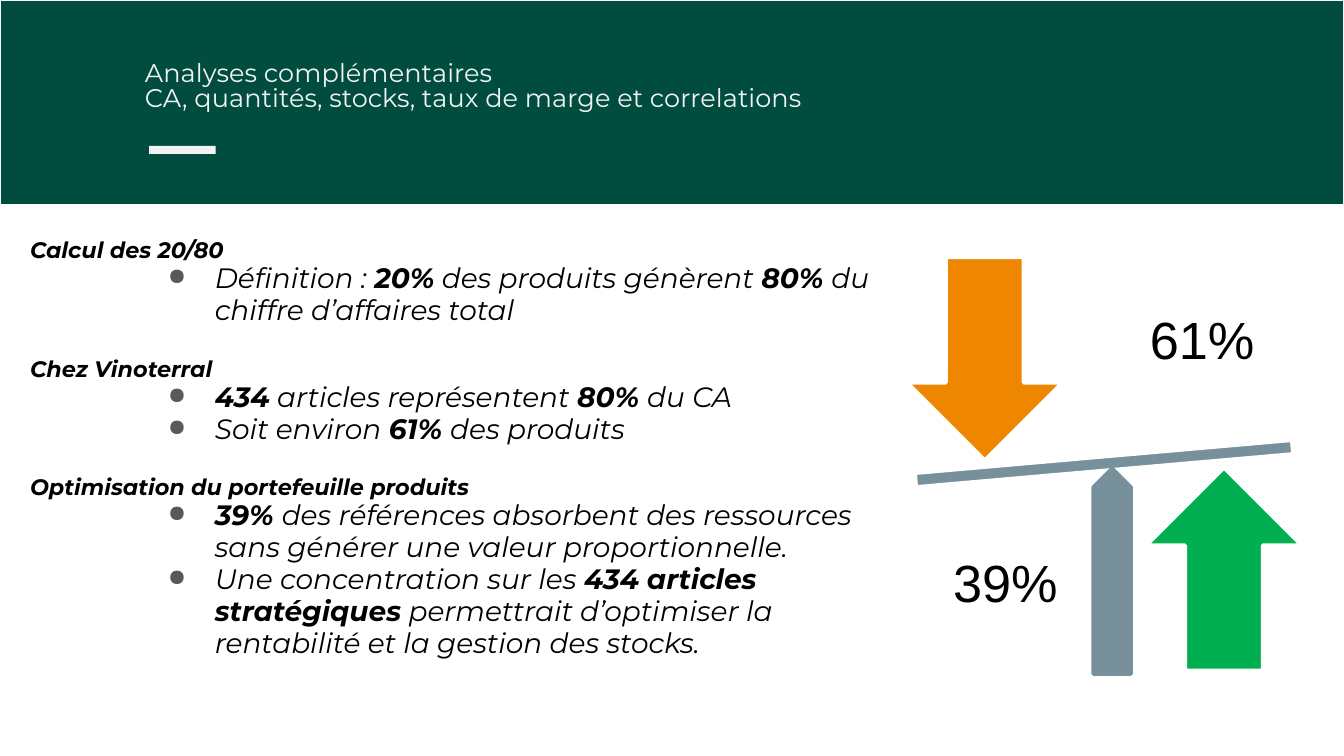
"""Build the 20/80 analysis slide with a seesaw of product shares."""
from lxml import etree
from pptx import Presentation
from pptx.dml.color import RGBColor
from pptx.enum.shapes import MSO_SHAPE
from pptx.enum.text import MSO_ANCHOR, PP_ALIGN
from pptx.oxml.ns import qn
from pptx.util import Inches, Pt

RECTANGLE = MSO_SHAPE.RECTANGLE
MINUS = MSO_SHAPE.MATH_MINUS
DOWN_ARROW = MSO_SHAPE.DOWN_ARROW
UP_ARROW = MSO_SHAPE.UP_ARROW
POST = MSO_SHAPE.PENTAGON
TOP, MIDDLE = MSO_ANCHOR.TOP, MSO_ANCHOR.MIDDLE
LEFT, CENTER = PP_ALIGN.LEFT, PP_ALIGN.CENTER

GREEN_DARK = RGBColor(0x00, 0x4D, 0x40)
OFF_WHITE = RGBColor(0xF3, 0xF3, 0xF3)
WHITE = RGBColor(0xFF, 0xFF, 0xFF)
BLACK = RGBColor(0x00, 0x00, 0x00)
ORANGE = RGBColor(0xEF, 0x86, 0x00)
GREEN = RGBColor(0x00, 0xB0, 0x50)
SLATE = RGBColor(0x78, 0x90, 0x9C)
BULLET_GREY = RGBColor(0x59, 0x59, 0x59)

CELL = Inches(0.1)
COLUMNS, ROWS = 100, 56.25
ARROW_SIZE = (11.55, 15.1)
LABEL_SIZE = (12.3, 13.1)

TITLE = [
    "Analyses complémentaires",
    "CA, quantités, stocks, taux de marge et correlations",
]
SECTIONS = [
    ("Calcul des 20/80", [
        [("Définition : ", False), ("20%", True), (" des produits génèrent ", False),
         ("80% ", True), ("du chiffre d’affaires total", False)],
    ]),
    ("Chez Vinoterral", [
        [("434", True), (" articles représentent ", False), ("80% ", True), ("du CA", False)],
        [("Soit environ ", False), ("61% ", True), ("des produits", False)],
    ]),
    ("Optimisation du portefeuille produits", [
        [("39% ", True), ("des références absorbent des ressources sans générer "
                          "une valeur proportionnelle.", False)],
        [("Une concentration sur les ", False), ("434 articles stratégiques", True),
         (" permettrait d’optimiser la rentabilité et la gestion des stocks.", False)],
    ]),
]


def cells(*counts):
    """Turn counts of grid cells into lengths."""
    return [round(count * CELL) for count in counts]


def add_figure(slide, kind, box, fill, line=None, line_width=2, rotation=0):
    """Add a filled preset shape, outlined if a line colour is given."""
    shape = slide.shapes.add_shape(kind, *cells(*box))
    shape.shadow.inherit = False
    shape.rotation = rotation
    shape.fill.solid()
    shape.fill.fore_color.rgb = fill
    if line is None:
        shape.line.fill.background()
    else:
        shape.line.color.rgb = line
        shape.line.width = Pt(line_width)


def add_text_frame(slide, box, inset=1, anchor=TOP):
    """Add a wrapping text box and return its frame."""
    frame = slide.shapes.add_textbox(*cells(*box)).text_frame
    frame.word_wrap = True
    frame.vertical_anchor = anchor
    frame.margin_left = frame.margin_right = round(inset * CELL)
    frame.margin_top = frame.margin_bottom = round(inset * CELL)
    return frame


def add_paragraph(frame, runs, size, color, spacing, font="Montserrat", italic=False,
                  align=LEFT):
    """Write (text, bold) runs into the first free paragraph."""
    paragraph = frame.paragraphs[0] if not frame.text else frame.add_paragraph()
    paragraph.alignment = align
    paragraph.line_spacing = spacing
    paragraph.font.name = font
    paragraph.font.size = Pt(size)
    paragraph.font.italic = italic
    paragraph.font.color.rgb = color
    for text, bold in runs:
        run = paragraph.add_run()
        run.text = text
        run.font.bold = bold
    return paragraph


def set_indent(paragraph, margin, first_line=0):
    """Set the left margin and first-line indent in grid cells."""
    properties = paragraph._p.get_or_add_pPr()
    margin, first_line = cells(margin, first_line)
    properties.set("marL", str(margin))
    properties.set("indent", str(first_line))
    return properties


def add_bullet(paragraph):
    """Give a paragraph a hanging grey bullet."""
    properties = set_indent(paragraph, 15, -3.5)
    color = etree.Element(qn("a:buClr"))
    etree.SubElement(color, qn("a:srgbClr"), val=str(BULLET_GREY))
    size = etree.Element(qn("a:buSzPct"), val="83000")
    character = etree.Element(qn("a:buChar"), char="●")
    position = properties.index(properties.find(qn("a:defRPr")))
    properties[position:position] = [color, size, character]


def add_header(slide):
    """Draw the title band with its text and accent bar."""
    add_figure(slide, RECTANGLE, (0, 0, COLUMNS, 15.25), GREEN_DARK, WHITE, 0.75)
    frame = add_text_frame(slide, (9.8, 3.7, 93.2, 6.3))
    for text in TITLE:
        add_paragraph(frame, [(text, False)], 13.75, OFF_WHITE, 0.8)
    add_figure(slide, RECTANGLE, (11.1, 10.85, 4.95, 0.6), OFF_WHITE)


def add_sections(slide):
    """Write the headings and their bullet points."""
    frame = add_text_frame(slide, (0, 16.9, 66.8, 37.4))
    for number, (heading, points) in enumerate(SECTIONS):
        paragraph = add_paragraph(frame, [(heading, True)], 12, BLACK, 0.85, italic=True)
        paragraph.space_before = Pt(17 if number else 0)
        set_indent(paragraph, 1.25)
        for runs in points:
            add_bullet(add_paragraph(frame, runs, 15, BLACK, 0.95, italic=True))


def add_share(slide, left, top, text):
    """Write a large percentage beside the seesaw."""
    frame = add_text_frame(slide, (left, top, *LABEL_SIZE), 2.2, MIDDLE)
    add_paragraph(frame, [(text, False)], 28, BLACK, 0.9, "Arial", align=CENTER)


def add_seesaw(slide):
    """Draw the tilted beam, its post, the arrows and the shares."""
    add_figure(slide, MINUS, (63, 32.3, 38.3, 4.4), SLATE, WHITE, rotation=355)
    add_figure(slide, DOWN_ARROW, (67.5, 19.15, *ARROW_SIZE), ORANGE, WHITE)
    add_share(slide, 83.3, 18.95, "61%")
    add_figure(slide, UP_ARROW, (85.3, 34.8, *ARROW_SIZE), GREEN, WHITE)
    add_share(slide, 68.65, 37.05, "39%")
    add_figure(slide, POST, (75.1, 41.1, 15.3, 2.8), SLATE, SLATE, rotation=270)


def main():
    """Create the presentation and save it."""
    presentation = Presentation()
    presentation.slide_width, presentation.slide_height = cells(COLUMNS, ROWS)
    slide = presentation.slides.add_slide(presentation.slide_layouts[6])
    add_header(slide)
    add_sections(slide)
    add_seesaw(slide)
    presentation.save("out.pptx")


if __name__ == "__main__":
    main()
